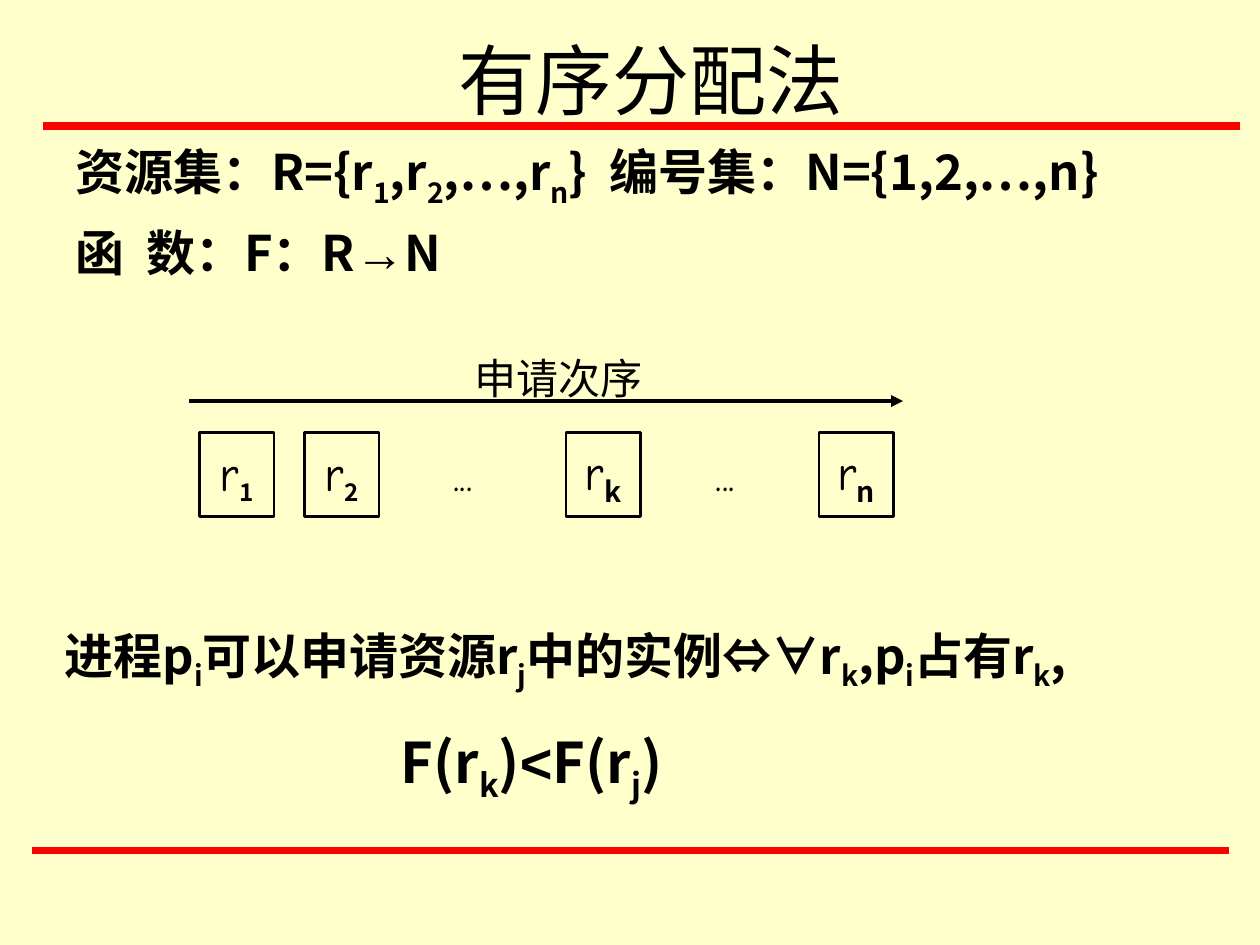
import dataclasses
import typing

import lxml.etree
import pptx
import pptx.dml.color
import pptx.enum.shapes
import pptx.enum.text
import pptx.oxml.ns
import pptx.util

COLUMNS, ROWS = 120, 90
CELL = pptx.util.Inches(10) // COLUMNS
BLACK, RED, CREAM = "000000", "FF0000", "FFFFCC"
COMIC, SANS, ARIAL, TIMES = "Comic Neue", "Noto Sans CJK SC", "Arial", "Times New Roman"
CENTER = pptx.enum.text.PP_ALIGN.CENTER
MIDDLE = pptx.enum.text.MSO_ANCHOR.MIDDLE


class Area(typing.NamedTuple):
    """Left, top, width and height in grid cells."""
    column: float
    row: float
    columns: float
    rows: float


@dataclasses.dataclass
class Line:
    """Segments pair a text with its font; "_" lowers the character after it."""
    segments: list[tuple[str, str]]
    size: float
    bold: bool = False
    indent: float = 0
    format: dict[str, typing.Any] = dataclasses.field(default_factory=dict)


@dataclasses.dataclass
class TextBlock:
    area: Area
    lines: list[Line]
    anchor: typing.Any = pptx.enum.text.MSO_ANCHOR.TOP


@dataclasses.dataclass
class ResourceBox:
    column: float
    index: str
    index_size: float


@dataclasses.dataclass
class Rule:
    start: float
    end: float
    row: float
    color: str
    width: float
    arrow: bool = False


def cells(count: float) -> int:
    return round(count * CELL)


def color(value: str) -> pptx.dml.color.RGBColor:
    return pptx.dml.color.RGBColor.from_string(value)


def set_attributes(target: typing.Any, values: dict[str, typing.Any]) -> None:
    for name, value in values.items():
        setattr(target, name, value)


def add_run(paragraph, text: str, font: str, size: float, bold: bool, lowered: bool = False) -> None:
    run = paragraph.add_run()
    run.text = text
    set_attributes(run.font, {"name": font, "size": pptx.util.Pt(size), "bold": bold})
    run.font.color.rgb = color(BLACK)
    properties = run.font._element
    if lowered:
        properties.set("baseline", "-25000")
    east_asian = lxml.etree.Element(pptx.oxml.ns.qn("a:ea"), typeface=SANS)
    properties.find(pptx.oxml.ns.qn("a:latin")).addnext(east_asian)


def add_text_block(slide, block: TextBlock) -> None:
    frame = slide.shapes.add_textbox(*map(cells, block.area)).text_frame
    set_attributes(frame, {"word_wrap": True, "vertical_anchor": block.anchor})
    for number, line in enumerate(block.lines):
        paragraph = frame.add_paragraph() if number else frame.paragraphs[0]
        set_attributes(paragraph, line.format)
        if line.indent:
            paragraph._p.get_or_add_pPr().set("marL", str(cells(line.indent)))
        for text, font in line.segments:
            first, *rest = text.split("_")
            if first:
                add_run(paragraph, first, font, line.size, line.bold)
            for piece in rest:
                add_run(paragraph, piece[0], font, line.size, line.bold, True)
                if piece[1:]:
                    add_run(paragraph, piece[1:], font, line.size, line.bold)


def add_resource_box(slide, box: ResourceBox) -> None:
    area = Area(box.column, 41.2, 7.1, 8)
    shape = slide.shapes.add_shape(pptx.enum.shapes.MSO_SHAPE.RECTANGLE, *map(cells, area))
    shape.shadow.inherit = False
    shape.fill.background()
    shape.line.color.rgb = color(BLACK)
    shape.line.width = pptx.util.Pt(1.5)
    set_attributes(shape.text_frame, {"word_wrap": False, "vertical_anchor": MIDDLE})
    paragraph = shape.text_frame.paragraphs[0]
    paragraph.alignment = CENTER
    add_run(paragraph, "r", COMIC, 28, False)
    add_run(paragraph, box.index, SANS, box.index_size, True, True)


def add_rule(slide, rule: Rule) -> None:
    connector = slide.shapes.add_connector(
        pptx.enum.shapes.MSO_CONNECTOR.STRAIGHT,
        cells(rule.start), cells(rule.row), cells(rule.end), cells(rule.row))
    connector.line.color.rgb = color(rule.color)
    connector.line.width = pptx.util.Pt(rule.width)
    if rule.arrow:
        lxml.etree.SubElement(connector.line._get_or_add_ln(),
                              pptx.oxml.ns.qn("a:tailEnd"), type="triangle")
    lxml.etree.SubElement(connector._element.spPr, pptx.oxml.ns.qn("a:effectLst"))


def spacing(before: float, lines: float = 1.0) -> dict[str, typing.Any]:
    return {"space_before": pptx.util.Pt(before), "line_spacing": lines}


RULES = [
    Rule(3, 117, 81, RED, 4.5),
    Rule(4.1, 118.1, 12, RED, 4.5),
    Rule(18, 86, 38.2, BLACK, 2.25, arrow=True),
]

BOXES = [
    ResourceBox(19, "1", 24),
    ResourceBox(29, "2", 24),
    ResourceBox(53.9, "k", 28),
    ResourceBox(78, "n", 28),
]

TEXT_BLOCKS = [
    TextBlock(Area(11, 0, 102, 15),
              [Line([("有序分配法", TIMES)], 44, format={"alignment": CENTER})], MIDDLE),
    TextBlock(Area(6, 13, 109, 21.7), [
        Line([("资源集：", COMIC), ("R={r_1,r_2,…,r_n}  编号集：N={1,2,…,n}", SANS)],
             28, True, format=spacing(17.5, 0.9)),
        Line([("函  数：", COMIC), ("F：R", SANS), ("→", ARIAL), ("N", SANS)],
             28, True, format=spacing(17.5, 0.8)),
    ]),
    TextBlock(Area(5, 59, 107, 18.2), [
        Line([("进程", COMIC), ("p_i", SANS), ("可以申请资源", COMIC), ("r_j", SANS),
              ("中的实例", COMIC), ("⇔∀", ARIAL), ("r_k,p_i", SANS), ("占有", COMIC),
              ("r_k,", SANS)], 28, True, format=spacing(17.5)),
        Line([("F(r_k)", SANS), ("<", ARIAL), ("F(r_j)", SANS)],
             32, True, indent=32, format=spacing(20)),
    ]),
    *(TextBlock(Area(column, 42.2, 7, 6), [Line([("...", COMIC)], 24, format=spacing(15))])
      for column in (42, 67)),
    TextBlock(Area(44, 33, 20, 6), [Line([("申请次序", TIMES)], 24, format=spacing(15))]),
]


def main() -> None:
    presentation = pptx.Presentation()
    set_attributes(presentation, {"slide_width": cells(COLUMNS), "slide_height": cells(ROWS)})
    slide = presentation.slides.add_slide(presentation.slide_layouts[6])
    slide.background.fill.solid()
    slide.background.fill.fore_color.rgb = color(CREAM)
    for rule in RULES:
        add_rule(slide, rule)
    for block in TEXT_BLOCKS:
        add_text_block(slide, block)
    for box in BOXES:
        add_resource_box(slide, box)
    presentation.save("out.pptx")


if __name__ == "__main__":
    main()
